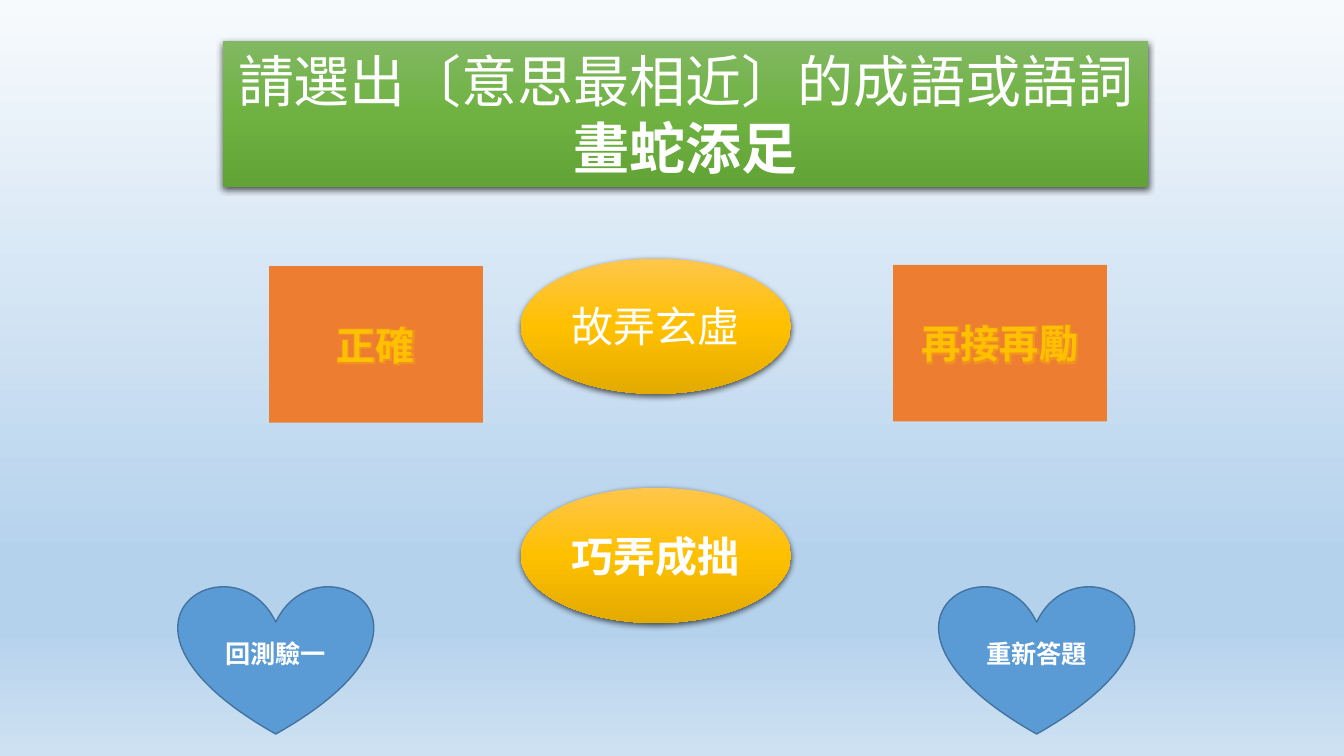
from lxml import etree
from pptx import Presentation
from pptx.dml.color import RGBColor
from pptx.enum import shapes, text
from pptx.oxml import ns
from pptx.util import Pt

FONT = "Noto Sans CJK SC"
WHITE = RGBColor(0xFF, 0xFF, 0xFF)
BLACK = RGBColor(0x00, 0x00, 0x00)
GOLD = RGBColor(0xFF, 0xC0, 0x00)
ORANGE = RGBColor(0xED, 0x7D, 0x31)
PURPLE = RGBColor(0x70, 0x30, 0xA0)
BLUE = RGBColor(0x5B, 0x9B, 0xD5)
DARK_BLUE = RGBColor(0x43, 0x73, 0x9E)
SKY = RGBColor(0xB5, 0xD2, 0xEC)

SKY_STOPS = [(0, RGBColor(0xF7, 0xFA, 0xFD)), (74, SKY), (83, SKY),
             (100, RGBColor(0xCE, 0xE1, 0xF2))]
GOLD_STOPS = [(0, RGBColor(0xFF, 0xC6, 0x4B)), (50, GOLD), (100, RGBColor(0xE3, 0xAB, 0x00))]
GREEN_STOPS = [(0, RGBColor(0x81, 0xB8, 0x61)), (50, RGBColor(0x6F, 0xB2, 0x42)),
               (100, RGBColor(0x62, 0xA3, 0x36))]


def add_child(parent, tag, **attributes):
    child = etree.SubElement(parent, ns.qn(tag))
    for name, value in attributes.items():
        child.set(name, str(value))
    return child


def add_color(parent, color, alpha=None):
    element = add_child(parent, "a:srgbClr", val=color)
    if alpha is not None:
        add_child(element, "a:alpha", val=alpha * 1000)


def fill_gradient(fill, element, stops):
    """Give the fill found in element a downward gradient of (percent, color) stops."""
    fill.gradient()
    fill.gradient_angle = 270
    stop_list = next(element.iter(ns.qn("a:gsLst")))
    for old_stop in list(stop_list):
        stop_list.remove(old_stop)
    for percent, color in stops:
        add_color(add_child(stop_list, "a:gs", pos=percent * 1000), color)


def add_shadow(shape):
    effects = shape._element.spPr.find(ns.qn("a:effectLst"))
    shadow = add_child(effects, "a:outerShdw", blurRad=Pt(4.5), dist=Pt(1.5),
                       dir=5400000, algn="ctr", rotWithShape=0)
    add_color(shadow, BLACK, 63)


def add_glow_outline(run):
    """Outline the letters in purple and surround them with a golden glow."""
    properties = run.font._element
    outline = add_child(properties, "a:ln", w=Pt(0.75))
    add_color(add_child(outline, "a:solidFill"), PURPLE)
    properties.insert(0, outline)
    effects = add_child(properties, "a:effectLst")
    add_color(add_child(effects, "a:glow", rad=Pt(3.5)), GOLD, 35)
    properties.find(ns.qn("a:solidFill")).addnext(effects)


def write_text(paragraph, content, size, color=WHITE, bold=False):
    paragraph.alignment = text.PP_ALIGN.CENTER
    run = paragraph.add_run()
    run.text = content
    font = run.font
    font.size, font.bold, font.name = Pt(size), bold, FONT
    font.color.rgb = color
    add_child(font._element, "a:ea", typeface=FONT)
    return run


def add_block(slide, kind, box, color=None, stops=None):
    """Add a borderless shape with a plain color, or with gradient stops and a shadow."""
    shape = slide.shapes.add_shape(kind, *map(Pt, box))
    shape.shadow.inherit = False
    shape.line.fill.background()
    if stops:
        fill_gradient(shape.fill, shape._element, stops)
        add_shadow(shape)
    else:
        shape.fill.solid()
        shape.fill.fore_color.rgb = color
    shape.text_frame.word_wrap = True
    shape.text_frame.vertical_anchor = text.MSO_ANCHOR.MIDDLE
    return shape


def add_question(slide, box, prompt, idiom):
    frame = add_block(slide, shapes.MSO_SHAPE.RECTANGLE, box, stops=GREEN_STOPS).text_frame
    frame.word_wrap = False
    frame.auto_size = text.MSO_AUTO_SIZE.SHAPE_TO_FIT_TEXT
    frame.vertical_anchor = text.MSO_ANCHOR.TOP
    write_text(frame.paragraphs[0], prompt, 40)
    write_text(frame.add_paragraph(), idiom, 40, bold=True)


def add_feedback(slide, box, message):
    card = add_block(slide, shapes.MSO_SHAPE.RECTANGLE, box, color=ORANGE)
    add_glow_outline(write_text(card.text_frame.paragraphs[0], message, 28, GOLD, bold=True))


def add_answers(slide, box, answers):
    """Stack oval answers, given as (wording, bold), from the top to the bottom of the box."""
    left, top, width, height = box
    oval_height = width / 2
    step = (height - oval_height) / (len(answers) - 1)
    for index, (wording, bold) in enumerate(answers):
        oval = add_block(slide, shapes.MSO_SHAPE.OVAL,
                         (left, top + index * step, width, oval_height), stops=GOLD_STOPS)
        write_text(oval.text_frame.paragraphs[0], wording, 30, bold=bold)


def add_navigation(slide, box, labels):
    """Put one heart button at each end of the box."""
    left, top, width, height = box
    heart_width = 139
    for label, heart_left in zip(labels, (left, left + width - heart_width)):
        heart = add_block(slide, shapes.MSO_SHAPE.HEART,
                          (heart_left, top, heart_width, height), color=BLUE)
        heart.line.color.rgb = DARK_BLUE
        heart.line.width = Pt(1)
        write_text(heart.text_frame.paragraphs[0], label, 18, bold=True)


def main():
    presentation = Presentation()
    presentation.slide_width, presentation.slide_height = Pt(960), Pt(540)
    slide = presentation.slides.add_slide(presentation.slide_layouts[6])
    fill_gradient(slide.background.fill, slide._element, SKY_STOPS)

    add_feedback(slide, (192.2, 190.2, 152.8, 111.8), "正確")
    add_feedback(slide, (637.9, 189.3, 152.8, 111.8), "再接再勵")
    add_question(slide, (159.2, 29.6, 661, 104.2),
                 "請選出〔意思最相近〕的成語或語詞", "畫蛇添足")
    add_answers(slide, (372, 184.8, 193, 260.2), [("故弄玄虛", False), ("巧弄成拙", True)])
    add_navigation(slide, (127.5, 417.8, 682.5, 106.5), ["回測驗一", "重新答題"])
    presentation.save("out.pptx")


if __name__ == "__main__":
    main()
